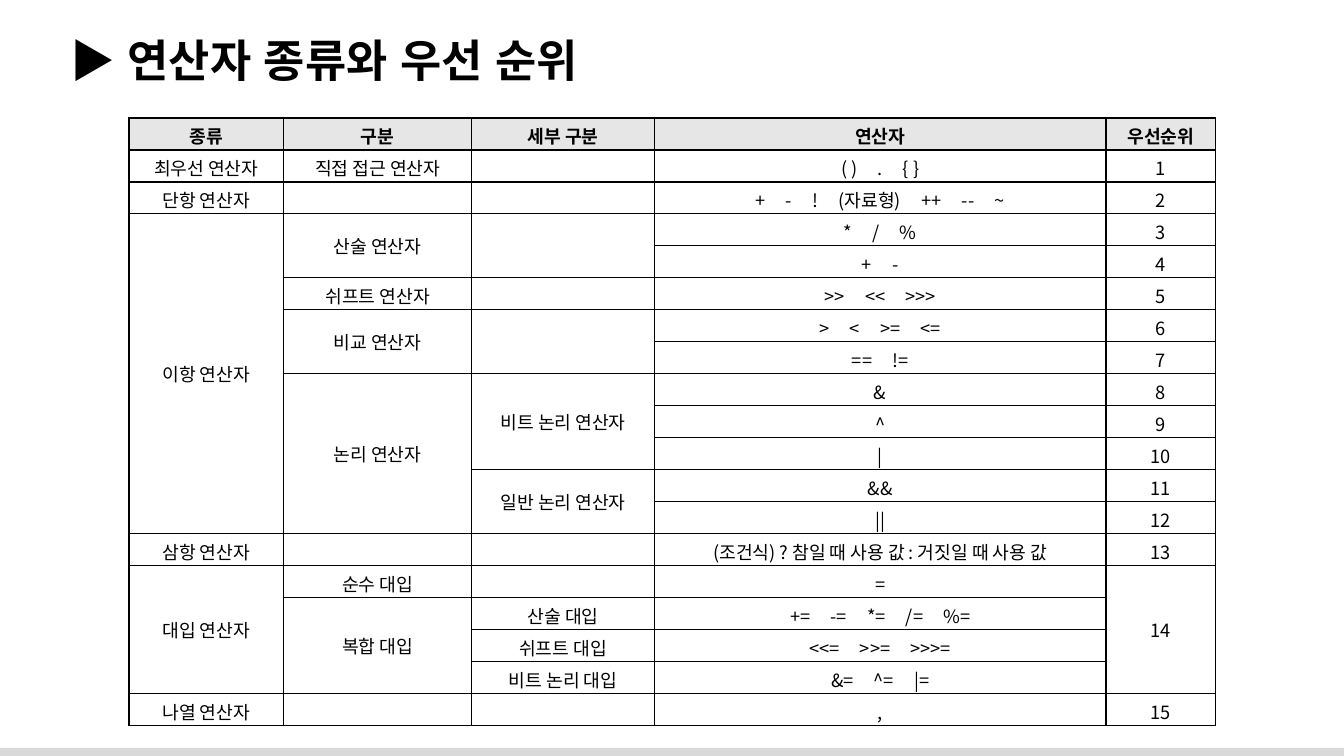
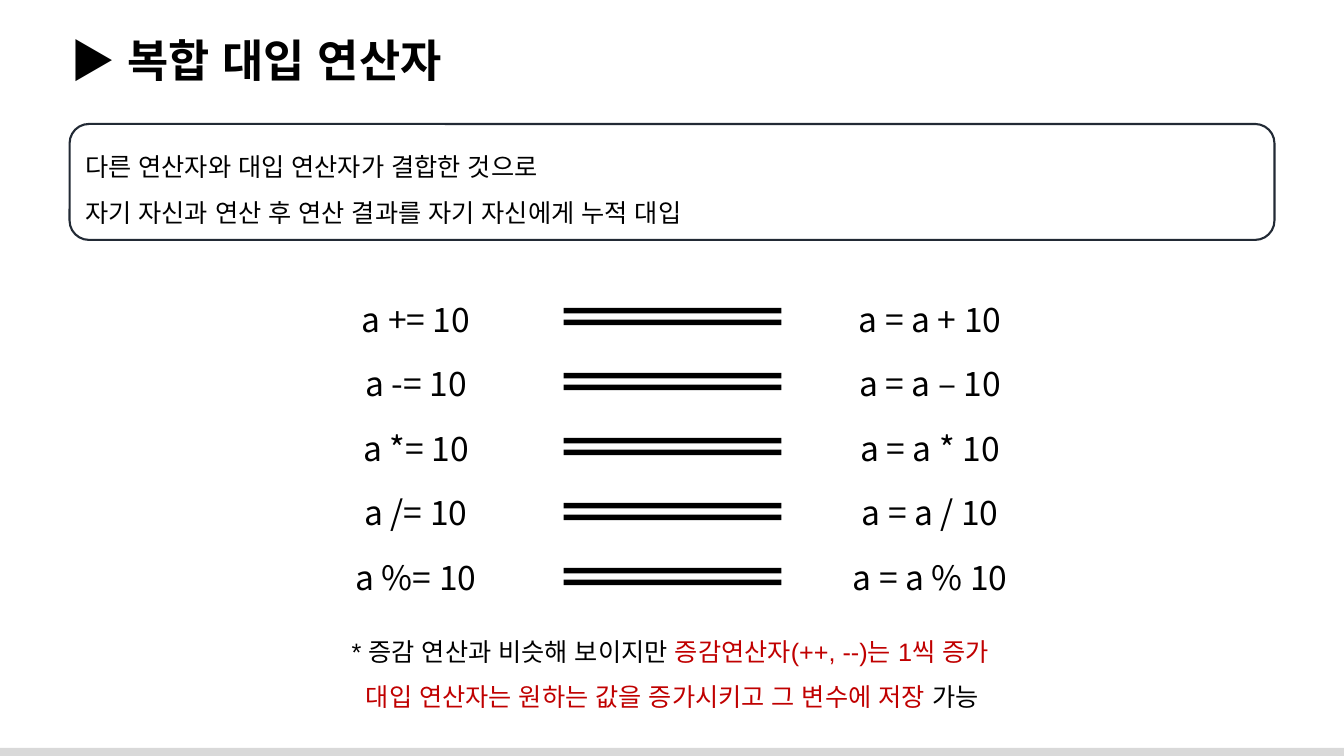
"""Build two Korean lecture slides on operator precedence and compound assignment."""
import dataclasses

import lxml.etree
import pptx
import pptx.dml.color
import pptx.enum.shapes
import pptx.enum.text
import pptx.oxml.ns
import pptx.util

Inches = pptx.util.Inches
Pt = pptx.util.Pt
Shapes = pptx.enum.shapes.MSO_SHAPE
Align = pptx.enum.text.PP_ALIGN
Anchor = pptx.enum.text.MSO_ANCHOR
qualified = pptx.oxml.ns.qn


@dataclasses.dataclass(frozen=True)
class Theme:
    """Colours, fonts and type sizes."""
    ink: str = "000000"
    accent: str = "C00000"
    outline: str = "222A35"
    header: str = "E7E6E6"
    band: str = "D9D9D9"
    text_font: str = "Arial"
    table_font: str = "Noto Sans CJK KR"
    title_size: int = 32
    formula_size: int = 24
    body_size: int = 18
    cell_size: int = 13
    operator_gap: float = 11.6


def rgb(color):
    """Turn a hex string into a colour."""
    return pptx.dml.color.RGBColor.from_string(color)


def write(paragraph, text, size, font, color, bold=False, tracking=0):
    """Add one formatted run to a paragraph."""
    run = paragraph.add_run()
    run.text = text
    run.font.size = Pt(size)
    run.font.bold = bold
    run.font.name = font
    run.font.color.rgb = rgb(color)
    properties = run.font._element
    lxml.etree.SubElement(properties, qualified("a:ea"), typeface=font)
    if tracking:
        properties.set("spc", str(round(tracking * 100)))


def border(cell, color, points):
    """Draw the four borders of a table cell."""
    properties = cell._tc.get_or_add_tcPr()
    for index, side in enumerate(("lnL", "lnR", "lnT", "lnB")):
        line = lxml.etree.Element(qualified("a:" + side), w=str(Pt(points)))
        fill = lxml.etree.SubElement(line, qualified("a:solidFill"))
        lxml.etree.SubElement(fill, qualified("a:srgbClr"), val=color)
        properties.insert(index, line)


class Deck:
    """Hold the theme, the presentation and the current slide."""

    def __init__(self, theme):
        self.theme = theme
        self.presentation = pptx.Presentation()
        self.presentation.slide_width = Inches(13.33)
        self.presentation.slide_height = Inches(7.5)
        self.slide = None

    def new_slide(self, title):
        """Start a slide with its title, adding the shared band once."""
        first = self.slide is None
        self.slide = self.presentation.slides.add_slide(self.presentation.slide_layouts[6])
        if first:
            self.master_band()
        self.text_box(0.6, 0.28, 12.6, 0.64, [[(title, self.theme.ink)]],
                      size=self.theme.title_size, bold=True)

    def master_band(self):
        """Put the bottom band on the slide master."""
        band = self.shape(Shapes.RECTANGLE, -0.03, 7.42, 13.39, 0.11, fill=self.theme.band)
        band.element.nvSpPr.cNvPr.set("id", "20")
        self.presentation.slide_master.element.cSld.spTree.append(band.element)

    def shape(self, kind, left, top, width, height, fill=None, line=None, adjustments=()):
        """Add a preset shape."""
        shape = self.slide.shapes.add_shape(
            kind, Inches(left), Inches(top), Inches(width), Inches(height))
        shape.shadow.inherit = False
        if fill:
            shape.fill.solid()
            shape.fill.fore_color.rgb = rgb(fill)
        else:
            shape.fill.background()
        if line:
            shape.line.color.rgb = rgb(line)
            shape.line.width = Pt(1.5)
        else:
            shape.line.fill.background()
        for index, value in enumerate(adjustments):
            shape.adjustments[index] = value
        return shape

    def fill_text(self, frame, lines, size, bold=False, spacing=None):
        """Write lines made of text and colour pairs."""
        frame.word_wrap = True
        for index, line in enumerate(lines):
            paragraph = frame.add_paragraph() if index else frame.paragraphs[0]
            paragraph.alignment = Align.LEFT
            if spacing:
                paragraph.line_spacing = spacing
            for text, color in line:
                write(paragraph, text, size=size, font=self.theme.text_font,
                      color=color, bold=bold)

    def text_box(self, left, top, width, height, lines, **text_format):
        """Add a text box that grows with its text."""
        box = self.slide.shapes.add_textbox(
            Inches(left), Inches(top), Inches(width), Inches(height))
        self.fill_text(box.text_frame, lines, **text_format)
        box.text_frame.auto_size = pptx.enum.text.MSO_AUTO_SIZE.SHAPE_TO_FIT_TEXT
        return box

    def panel(self, left, top, width, height, lines, **text_format):
        """Add an outlined rounded panel with text."""
        panel = self.shape(Shapes.ROUNDED_RECTANGLE, left, top, width, height,
                           line=self.theme.outline)
        panel.text_frame.vertical_anchor = Anchor.MIDDLE
        self.fill_text(panel.text_frame, lines, **text_format)

    def table(self, left, top, widths, row_height, rows, size, ruled=False):
        """Add a table, where None continues the cell above."""
        table = self.slide.shapes.add_table(
            len(rows), len(widths), Inches(left), Inches(top),
            Inches(sum(widths)), Inches(row_height * len(rows))).table
        table.first_row = ruled
        table.horz_banding = False
        for column, width in zip(table.columns, widths):
            column.width = Inches(width)
        for row_index, row in enumerate(rows):
            table.rows[row_index].height = Inches(row_height)
            for column_index, content in enumerate(row):
                cell = table.cell(row_index, column_index)
                header = ruled and row_index == 0
                self.style_cell(cell, header, ruled)
                if content is None:
                    continue
                last = row_index
                while last + 1 < len(rows) and rows[last + 1][column_index] is None:
                    last += 1
                if last > row_index:
                    cell.merge(table.cell(last, column_index))
                elif ruled and content:
                    cell.margin_top = Inches(0.04)
                self.fill_cell(cell, content, size, header)

    def style_cell(self, cell, header, ruled):
        """Set the fill, anchor, margins and borders of a cell."""
        cell.vertical_anchor = Anchor.MIDDLE
        if header:
            cell.fill.solid()
            cell.fill.fore_color.rgb = rgb(self.theme.header)
        else:
            cell.fill.background()
        if ruled:
            cell.margin_top = cell.margin_bottom = 0
            border(cell, self.theme.ink, 1)

    def fill_cell(self, cell, content, size, bold):
        """Write a text, or a tuple of widely spaced operators, in a cell."""
        paragraph = cell.text_frame.paragraphs[0]
        paragraph.alignment = Align.CENTER
        style = {"size": size, "font": self.theme.table_font,
                 "color": self.theme.ink, "bold": bold}
        parts = content if isinstance(content, tuple) else (content,)
        for index, part in enumerate(parts):
            if index:
                write(paragraph, " ", tracking=self.theme.operator_gap, **style)
            if part:
                write(paragraph, part, **style)


PRECEDENCE = [
    ("종류", "구분", "세부 구분", "연산자", "우선순위"),
    ("최우선 연산자", "직접 접근 연산자", "", ("( )", ".", "{ }"), "1"),
    ("단항 연산자", "", "", ("+", "-", "!", "(자료형)", "++", "--", "~"), "2"),
    ("이항 연산자", "산술 연산자", "", ("*", "/", "%"), "3"),
    (None, None, None, ("+", "-"), "4"),
    (None, "쉬프트 연산자", "", (">>", "<<", ">>>"), "5"),
    (None, "비교 연산자", "", (">", "<", ">=", "<="), "6"),
    (None, None, None, ("==", "!="), "7"),
    (None, "논리 연산자", "비트 논리 연산자", "&", "8"),
    (None, None, None, "^", "9"),
    (None, None, None, "|", "10"),
    (None, None, "일반 논리 연산자", "&&", "11"),
    (None, None, None, "||", "12"),
    ("삼항 연산자", "", "", "(조건식) ? 참일 때 사용 값 : 거짓일 때 사용 값", "13"),
    ("대입 연산자", "순수 대입", "", "=", "14"),
    (None, "복합 대입", "산술 대입", ("+=", "-=", "*=", "/=", "%="), None),
    (None, None, "쉬프트 대입", ("<<=", ">>=", ">>>="), None),
    (None, None, "비트 논리 대입", ("&=", "^=", "|="), None),
    ("나열 연산자", "", "", ",", "15"),
]


def precedence_slide(deck):
    """Build the operator precedence table."""
    deck.new_slide("▶ 연산자 종류와 우선 순위")
    deck.table(1.28, 1.17, (1.53, 1.87, 1.81, 4.48, 1.09), 6.03 / len(PRECEDENCE),
               PRECEDENCE, size=deck.theme.cell_size, ruled=True)


def compound_slide(deck):
    """Build the compound assignment equivalences."""
    theme = deck.theme
    deck.new_slide("▶ 복합 대입 연산자")
    deck.panel(0.69, 1.23, 11.95, 1.15, [
        [("다른 연산자와 대입 연산자가 결합한 것으로", theme.ink)],
        [("자기 자신과 연산 후 연산 결과를 자기 자신에게 누적 대입", theme.ink)],
    ], size=theme.body_size, spacing=1.5)
    signs = {"+": "+", "-": "–", "*": "*", "/": "/", "%": "%"}
    formulas = [(f"a {sign}= 10", "", f"a = a {shown} 10") for sign, shown in signs.items()]
    deck.table(2.85, 2.83, (2.55,) * 3, 0.64, formulas, size=theme.formula_size)
    for index in range(len(formulas)):
        top = 2.89 + 2.58 * index / (len(formulas) - 1)
        deck.shape(Shapes.MATH_EQUAL, 5.2, top, 2.94, 0.5, fill=theme.ink,
                   adjustments=(0.11, 0.12))
    note = deck.text_box(3.39, 6.11, 9.61, 1.01, [
        [("* 증감 연산과 비슷해 보이지만 ", theme.ink),
         ("증감연산자(++, --)는 1씩 증가", theme.accent)],
        [("대입 연산자는 원하는 값을 증가시키고 그 변수에 저장", theme.accent),
         (" 가능", theme.ink)],
    ], size=theme.body_size, spacing=1.5)
    second_line = note.text_frame.paragraphs[1]
    second_line._p.get_or_add_pPr().set("marL", str(Inches(0.14)))


def main():
    """Build and save the presentation."""
    deck = Deck(Theme())
    precedence_slide(deck)
    compound_slide(deck)
    deck.presentation.save("out.pptx")


main()
